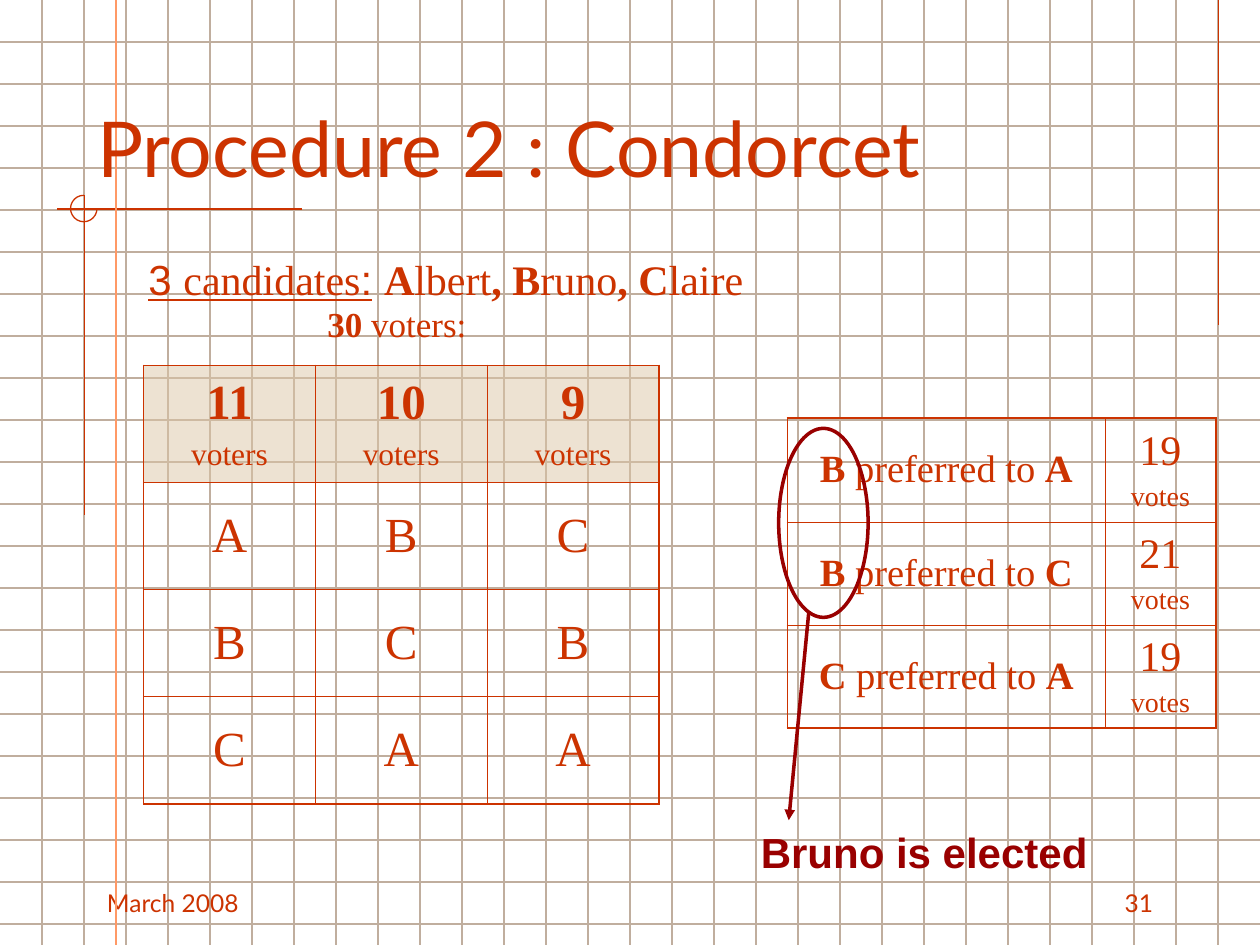
from lxml import etree
from pptx import Presentation
from pptx.dml.color import RGBColor
from pptx.enum.shapes import MSO_CONNECTOR, MSO_SHAPE
from pptx.enum.text import MSO_ANCHOR, PP_ALIGN
from pptx.oxml.ns import qn
from pptx.util import Inches, Pt

STRAIGHT = MSO_CONNECTOR.STRAIGHT
ELLIPSE, ARC = MSO_SHAPE.OVAL, MSO_SHAPE.ARC
LEFT, CENTER, RIGHT = PP_ALIGN.LEFT, PP_ALIGN.CENTER, PP_ALIGN.RIGHT
TOP, MIDDLE, BOTTOM = MSO_ANCHOR.TOP, MSO_ANCHOR.MIDDLE, MSO_ANCHOR.BOTTOM

RUST = RGBColor(0xCC, 0x33, 0x00)
MAROON = RGBColor(0x99, 0x00, 0x00)
ORANGE = RGBColor(0xFF, 0x99, 0x66)
GRID_TAUPE = RGBColor(0xC0, 0xAE, 0x9E)
SAND = RGBColor(0xDD, 0xC6, 0xA7)

SANS, SERIF, HEADING = "Arial", "Times New Roman", "Lato"
WIDTH, HEIGHT = 10, 7.5
GRID_PER_INCH = 3
OUTER_BORDER = 1.08


def add_line(page, start, end, color, width=0.75, arrow=False):
    line = page.shapes.add_connector(STRAIGHT, *map(Inches, start + end))
    line.line.color.rgb = color
    line.line.width = Pt(width)
    if arrow:
        etree.SubElement(line.line._get_or_add_ln(), qn("a:tailEnd"), type="triangle")
    etree.SubElement(line._element.spPr, qn("a:effectLst"))


def add_outline(page, kind, place, color, width):
    shape = page.shapes.add_shape(kind, *map(Inches, place))
    shape.shadow.inherit = False
    shape.fill.background()
    shape.line.color.rgb = color
    shape.line.width = Pt(width)
    return shape


def add_span(para, text, **changes):
    span = para.add_run()
    span.text = text
    span.font.color.rgb = changes.pop("color", RUST)
    for name, value in ({"name": SERIF} | changes).items():
        setattr(span.font, name, value)


def write_marked(para, text, size, **changes):
    """Write text in which each * switches bold on or off."""
    for index, part in enumerate(text.split("*")):
        if part:
            add_span(para, part, size=Pt(size), bold=index % 2 == 1, **changes)


def add_text(page, place, anchor=TOP, align=LEFT):
    box = page.shapes.add_textbox(*map(Inches, place))
    box.text_frame.word_wrap = True
    box.text_frame.vertical_anchor = anchor
    para = box.text_frame.paragraphs[0]
    para.alignment = align
    return para


def set_borders(cell, widths):
    """Draw the left, right, top and bottom borders, given in that order."""
    properties = cell._tc.get_or_add_tcPr()
    for index, (side, width) in enumerate(zip("LRTB", widths)):
        border = etree.Element(qn(f"a:ln{side}"), w=str(Pt(width)))
        fill = etree.SubElement(border, qn("a:solidFill"))
        etree.SubElement(fill, qn("a:srgbClr"), val=str(RUST))
        properties.insert(index, border)


def fill_translucent(cell, color, percent):
    cell.fill.solid()
    cell.fill.fore_color.rgb = color
    value = cell._tc.tcPr.find(".//" + qn("a:srgbClr"))
    etree.SubElement(value, qn("a:alpha"), val=str(percent * 1000))


def add_grid_table(page, corner, columns, rows, cells, inner, header=False):
    """Each cell is a list of (marked text, size, space before) lines."""
    place = corner + (sum(columns), sum(rows))
    table = page.shapes.add_table(len(rows), len(columns), *map(Inches, place)).table
    table.first_row = table.horz_banding = False
    for column, width in zip(table.columns, columns):
        column.width = Inches(width)
    for row, height in zip(table.rows, rows):
        row.height = Inches(height)
    last_row, last_column = len(rows) - 1, len(columns) - 1
    for r, line in enumerate(cells):
        for c, content in enumerate(line):
            cell = table.cell(r, c)
            cell.vertical_anchor = MIDDLE
            if header and r == 0:
                fill_translucent(cell, SAND, 50)
            else:
                cell.fill.background()
            edges = (c == 0, c == last_column, r == 0, r == last_row)
            set_borders(cell, [OUTER_BORDER if edge else inner for edge in edges])
            for index, (text, size, space) in enumerate(content):
                frame = cell.text_frame
                para = frame.add_paragraph() if index else frame.paragraphs[0]
                para.alignment = CENTER
                if index:
                    para.space_before = Pt(space)
                write_marked(para, text, size)


def draw_background(page):
    for step in range(1, int(HEIGHT * GRID_PER_INCH) + 1):
        y = step / GRID_PER_INCH
        add_line(page, (0, y), (WIDTH, y), GRID_TAUPE)
    for step in range(1, WIDTH * GRID_PER_INCH):
        x = step / GRID_PER_INCH
        add_line(page, (x, 0), (x, HEIGHT), GRID_TAUPE)
    add_line(page, (9.67, 0), (9.67, 2.58), RUST)
    add_line(page, (2.4, 1.66), (0.45, 1.66), RUST)
    add_line(page, (0.67, 1.55), (0.67, 4.09), RUST)
    arc = add_outline(page, ARC, (0.56, 1.55, 0.21, 0.21), RUST, 0.75)
    three_quarters = 270 * 60000 / 100000
    arc.adjustments[0], arc.adjustments[1] = 0, three_quarters


def set_title(page, text):
    """Fill the title and bring it in front of the background lines."""
    title = page.shapes.title
    title._element.getparent().append(title._element)
    place = {"left": 0.67, "top": 0.33, "width": 8.5, "height": 1.25}
    for name, value in place.items():
        setattr(title, name, Inches(value))
    title.text_frame.vertical_anchor = BOTTOM
    para = title.text_frame.paragraphs[0]
    para.alignment = LEFT
    write_marked(para, text, 44, name=HEADING)


def add_footer(page):
    for left, text, align in ((0.75, "March 2008", LEFT), (7.17, "31", RIGHT)):
        para = add_text(page, (left, 6.83, 2.08, 0.5), BOTTOM, align)
        write_marked(para, text, 14, name=HEADING)


def add_candidates(page):
    para = add_text(page, (1.08, 1.96, 5.33, 0.5))
    for text, font in (("3 ", SANS), ("candidates", SERIF), (":", SANS)):
        add_span(para, text, size=Pt(24), name=font, underline=True)
    write_marked(para, "* *", 24, name=SANS)
    write_marked(para, "*A*lbert*, B*runo*, C*laire", 24)


def add_ballots(page):
    voters = [[(f"*{count}*", 28, 0), ("voters", 18, 4.5)] for count in (11, 10, 9)]
    ranks = [[[(name, 28, 0)] for name in rank] for rank in ("ABC", "BCB", "CAA")]
    add_grid_table(page, (1.14, 2.9), [4.09 / 3] * 3, [0.93] + [0.85] * 3,
                   [voters] + ranks, inner=0.45, header=True)


def add_duels(page):
    duels = [("B", "A", 19), ("B", "C", 21), ("C", "A", 19)]
    cells = [[[(f"*{winner}* preferred to *{loser}*", 22, 0)],
              [(str(votes), 24, 0), ("votes", 16, 4)]]
             for winner, loser, votes in duels]
    add_grid_table(page, (6.25, 3.32), [2.52, 0.88], [0.82] * 3, cells, inner=0.11)


def main():
    deck = Presentation()
    deck.slide_width, deck.slide_height = Inches(WIDTH), Inches(HEIGHT)
    page = deck.slides.add_slide(deck.slide_layouts.get_by_name("Title Only"))
    draw_background(page)
    add_footer(page)
    add_candidates(page)
    add_ballots(page)
    elected = add_text(page, (5.94, 6.51, 2.84, 0.5))
    write_marked(elected, "*Bruno is elected*", 24, name=SANS, color=MAROON)
    add_line(page, (0.92, 0), (0.92, HEIGHT), ORANGE, 1)
    voters = add_text(page, (2.5, 2.35, 1.4, 0.44))
    write_marked(voters, "*30* voters:", 20)
    set_title(page, "Procedure 2 : Condorcet")
    add_duels(page)
    add_outline(page, ELLIPSE, (6.18, 3.4, 0.71, 1.5), MAROON, 2)
    add_line(page, (6.42, 4.85), (6.26, 6.51), MAROON, 2, arrow=True)
    deck.save("out.pptx")


if __name__ == "__main__":
    main()
